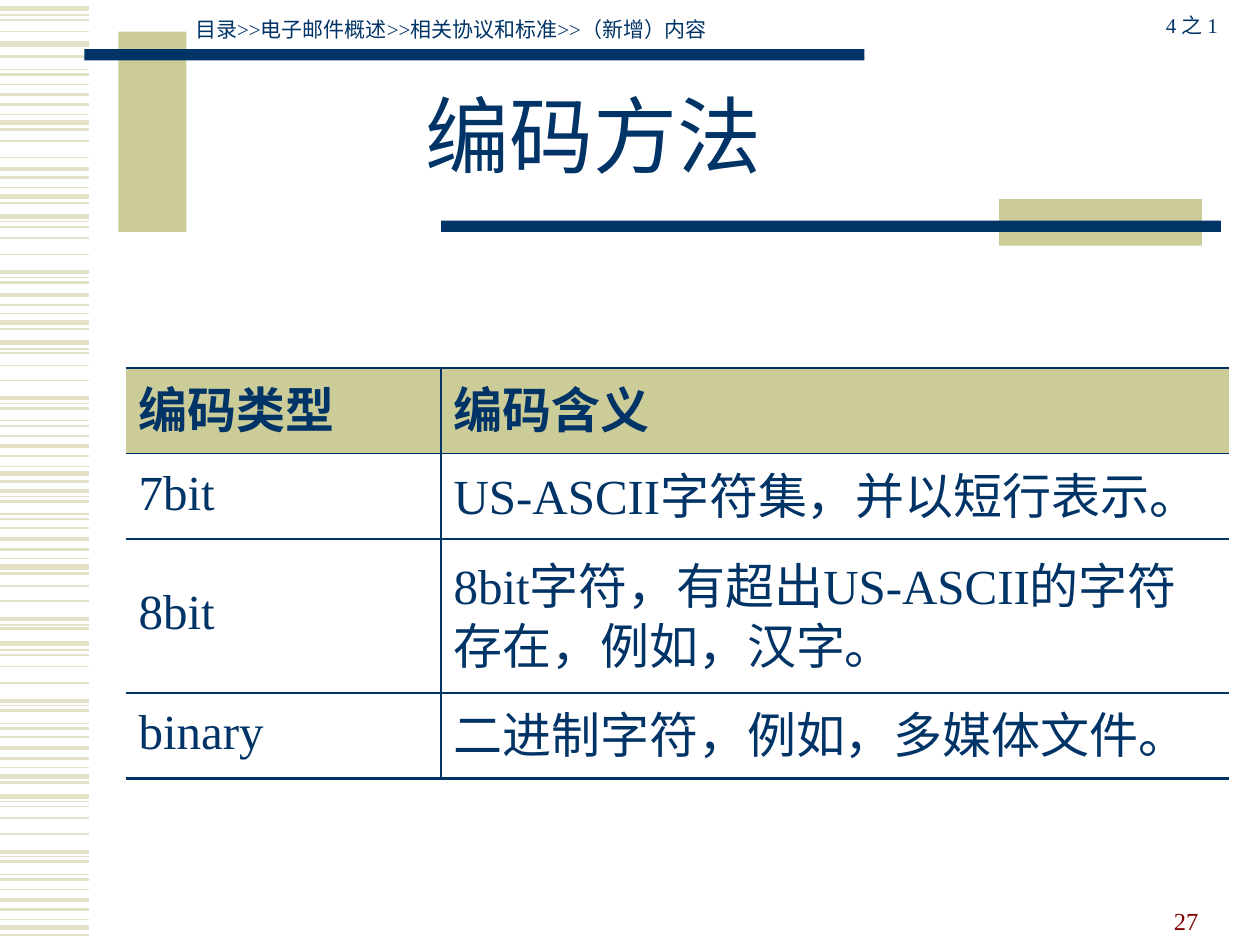
from dataclasses import dataclass

from lxml import etree
from pptx import Presentation
from pptx.dml.color import RGBColor
from pptx.enum.lang import MSO_LANGUAGE_ID
from pptx.enum.shapes import MSO_CONNECTOR, MSO_SHAPE
from pptx.enum.text import MSO_ANCHOR, MSO_AUTO_SIZE, PP_ALIGN
from pptx.oxml.ns import qn
from pptx.util import Pt

LEFT, CENTER, RIGHT = PP_ALIGN.LEFT, PP_ALIGN.CENTER, PP_ALIGN.RIGHT
TOP, MIDDLE, BOTTOM = MSO_ANCHOR.TOP, MSO_ANCHOR.MIDDLE, MSO_ANCHOR.BOTTOM
FIT_SHAPE = MSO_AUTO_SIZE.SHAPE_TO_FIT_TEXT
STRAIGHT, RECT = MSO_CONNECTOR.STRAIGHT, MSO_SHAPE.RECTANGLE
CHINESE = MSO_LANGUAGE_ID.SIMPLIFIED_CHINESE

PX = 9144  # 100 px to the inch


@dataclass(frozen=True)
class Theme:
    navy: str = "003366"
    khaki: str = "CCCC99"
    stripe: str = "E3E2C7"
    maroon: str = "800000"
    heading: str = "Arial"
    body: str = "Times New Roman"
    title_size: int = 48
    table_size: int = 28
    number_size: int = 14
    small_size: int = 12
    tight: float = 0.85
    rule: float = 1.08
    outer_rule: float = 1.47


THEME = Theme()

TITLE = "编码方法"
BREADCRUMB = "目录>>电子邮件概述>>相关协议和标准>>（新增）内容"
PART = "4 之 1"
PAGE = "27"
ROWS = [
    ("编码类型", "编码含义"),
    ("7bit", "US-ASCII字符集，并以短行表示。"),
    ("8bit", "8bit字符，有超出US-ASCII的字符存在，例如，汉字。"),
    ("binary", "二进制字符，例如，多媒体文件。"),
]
TABLE_LEFT, TABLE_TOP = 100, 292
COL_WIDTHS = [250, 625]
ROW_HEIGHTS = [68, 68, 122, 68]

# Margin stripes: line width in points -> vertical positions
STRIPE_LENGTH = 71
STRIPES = {
    3: [7, 35, 97, 156, 172, 256, 272, 376, 450, 511, 616, 632, 736],
    2.25: [75, 134, 216, 234, 316, 354, 390, 428, 491, 556, 594, 676, 714],
    1.5: [45, 59, 83, 103, 141, 161, 224, 242, 261, 324, 338, 362, 382, 398,
          412, 436, 455, 499, 564, 578, 602, 621, 684, 698, 722, 742],
    1: [16, 25, 67, 112, 125, 180, 189, 202, 280, 290, 302, 346, 419, 465,
        477, 520, 529, 542, 585, 640, 649, 662, 706],
    0.75: [12, 55, 91, 149, 176, 220, 249, 277, 320, 334, 370, 394, 408, 443,
           496, 516, 560, 574, 609, 636, 680, 694, 730],
}
BARS = [
    (94, 25, 54, 159, THEME.khaki),
    (67, 39, 619, 9, THEME.navy),
    (793, 158, 161, 37, THEME.khaki),
    (350, 175, 619, 9, THEME.navy),
]


def px(*lengths):
    return [n * PX for n in lengths]


def rgb(color):
    return RGBColor.from_string(color)


def write(tf, text, size, font=THEME.body, color=THEME.navy, bold=False,
          align=LEFT, spacing=None, before=None):
    p = tf.paragraphs[0]
    p.alignment = align
    if spacing:
        p.line_spacing = spacing
    if before:
        p.space_before = Pt(before)
    r = p.add_run()
    r.text = text
    r.font.name = font
    r.font.size = Pt(size)
    r.font.bold = bold
    r.font.color.rgb = rgb(color)
    r.font.language_id = CHINESE


def add_text(slide, box, text, size, anchor=TOP, grow=False, **style):
    tf = slide.shapes.add_textbox(*px(*box)).text_frame
    tf.word_wrap = True
    tf.vertical_anchor = anchor
    if grow:
        tf.auto_size = FIT_SHAPE
    write(tf, text, size, **style)


def add_stripe(slide, y, width):
    line = slide.shapes.add_connector(STRAIGHT, *px(0, y, STRIPE_LENGTH, y))
    line.line.color.rgb = rgb(THEME.stripe)
    line.line.width = Pt(width)
    etree.SubElement(line._element.spPr, qn("a:effectLst"))


def add_bar(slide, left, top, width, height, color):
    sp = slide.shapes.add_shape(RECT, *px(left, top, width, height))
    sp.shadow.inherit = False
    sp.fill.solid()
    sp.fill.fore_color.rgb = rgb(color)
    sp.line.fill.background()


def set_borders(cell, widths):
    """Set the borders from a dict of side (L, R, T, B) to points; 0 hides one."""
    tc_pr = cell._tc.get_or_add_tcPr()
    for i, (side, width) in enumerate(widths.items()):
        ln = etree.Element(qn(f"a:ln{side}"), w=str(Pt(width)))
        if width:
            fill = etree.SubElement(ln, qn("a:solidFill"))
            etree.SubElement(fill, qn("a:srgbClr"), val=THEME.navy)
        else:
            etree.SubElement(ln, qn("a:noFill"))
        tc_pr.insert(i, ln)


def add_table(slide):
    frame = slide.shapes.add_table(
        len(ROWS), len(COL_WIDTHS),
        *px(TABLE_LEFT, TABLE_TOP, sum(COL_WIDTHS), sum(ROW_HEIGHTS)))
    table = frame.table
    table.first_row = table.horz_banding = False
    for column, width in zip(table.columns, COL_WIDTHS):
        column.width = width * PX
    last_row, last_col = len(ROWS) - 1, len(COL_WIDTHS) - 1
    for i, texts in enumerate(ROWS):
        table.rows[i].height = ROW_HEIGHTS[i] * PX
        for j, text in enumerate(texts):
            cell = table.cell(i, j)
            cell.vertical_anchor = MIDDLE
            if i == 0:
                cell.fill.solid()
                cell.fill.fore_color.rgb = rgb(THEME.khaki)
            else:
                cell.fill.background()
            set_borders(cell, {
                "L": THEME.rule if j > 0 else 0,
                "R": THEME.rule if j < last_col else 0,
                "T": THEME.rule if i > 0 else THEME.outer_rule,
                "B": THEME.rule if i < last_row else THEME.outer_rule,
            })
            write(cell.text_frame, text, THEME.table_size, bold=i == 0,
                  spacing=THEME.tight)


def main():
    prs = Presentation()
    prs.slide_width, prs.slide_height = px(1000, 750)
    slide = prs.slides.add_slide(prs.slide_layouts[6])
    for width, positions in STRIPES.items():
        for y in positions:
            add_stripe(slide, y, width)
    for bar in BARS:
        add_bar(slide, *bar)
    add_text(slide, (150, 50, 642, 125), TITLE, THEME.title_size,
             anchor=MIDDLE, font=THEME.heading, align=CENTER,
             spacing=THEME.tight)
    add_text(slide, (145, 8, 678, 30), BREADCRUMB, THEME.small_size,
             grow=True, before=7.5)
    add_text(slide, (892, 5, 108, 30), PART, THEME.small_size,
             grow=True, align=CENTER, before=7.5)
    add_table(slide)
    add_text(slide, (721, 697, 240, 50), PAGE, THEME.number_size,
             anchor=BOTTOM, color=THEME.maroon, align=RIGHT)
    prs.save("out.pptx")


if __name__ == "__main__":
    main()
